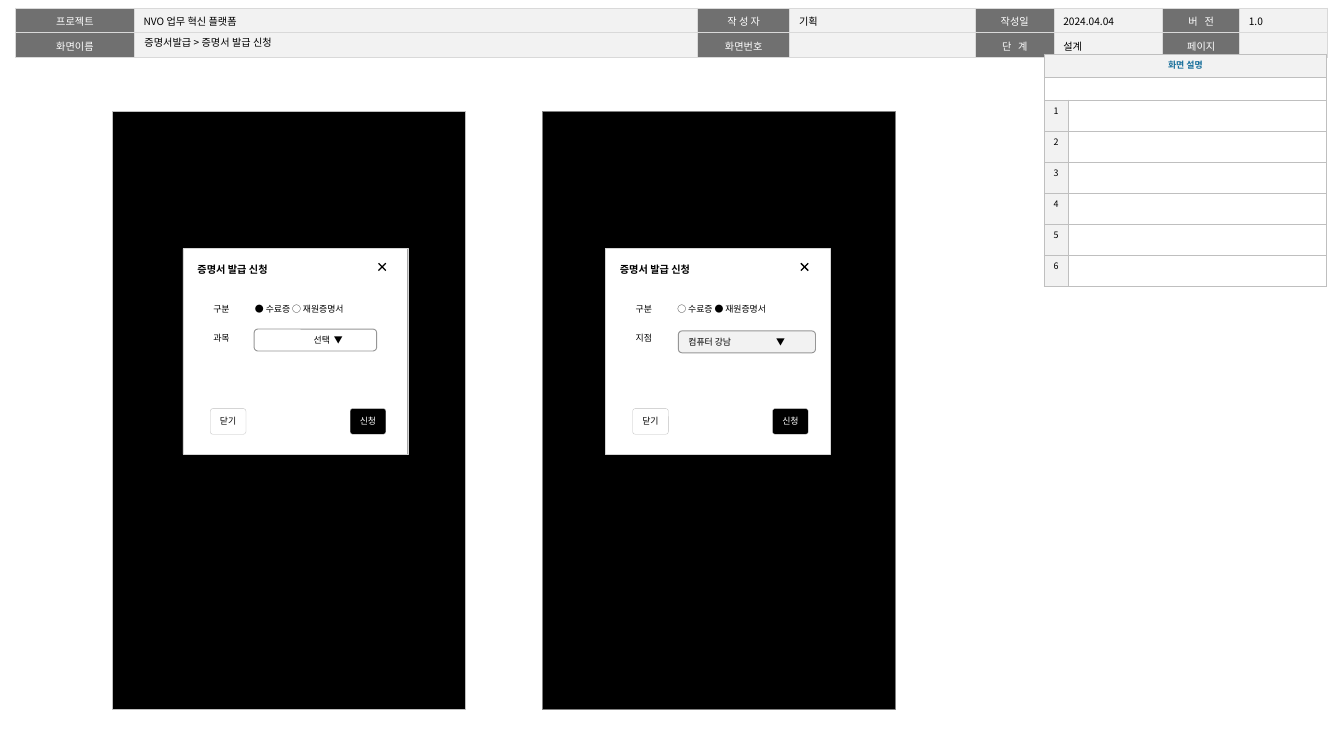
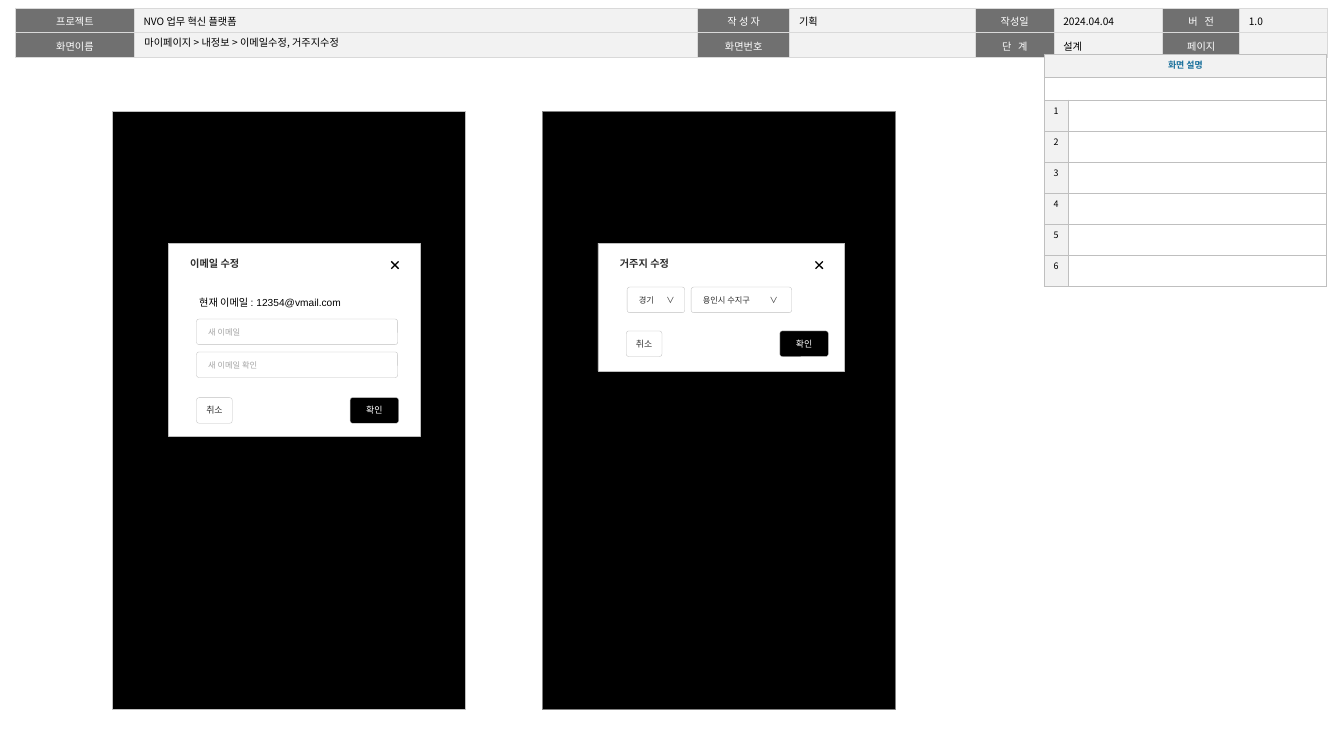
from pptx import Presentation
from pptx.dml.color import RGBColor
from pptx.enum.shapes import MSO_CONNECTOR, MSO_SHAPE
from pptx.enum.text import MSO_ANCHOR, PP_ALIGN
from pptx.oxml.xmlchemy import OxmlElement
from pptx.util import Inches, Pt

BLACK = RGBColor(0x00, 0x00, 0x00)
WHITE = RGBColor(0xFF, 0xFF, 0xFF)
INK = RGBColor(0x2E, 0x2E, 0x2E)
HEADER_GRAY = RGBColor(0x70, 0x70, 0x70)
PANEL_GRAY = RGBColor(0x80, 0x80, 0x80)
FIELD_GRAY = RGBColor(0x96, 0x96, 0x96)
HINT_GRAY = RGBColor(0xA6, 0xA6, 0xA6)
EDGE_GRAY = RGBColor(0xBF, 0xBF, 0xBF)
DIALOG_EDGE = RGBColor(0xD5, 0xD5, 0xD5)
GRID_GRAY = RGBColor(0xD9, 0xD9, 0xD9)
PALE_GRAY = RGBColor(0xF2, 0xF2, 0xF2)
BLUE = RGBColor(0x17, 0x6F, 0x9B)

KOREAN = "Noto Sans CJK KR"
LATIN = "Arial"

HEADER_COLUMNS = [1.3, 6.16, 1.01, 2.03, 0.86, 1.19, 0.84, 0.96]
HEADER_ROWS = [
    ["프로젝트", "NVO 업무 혁신 플랫폼", "작 성 자", "기획", "작성일", "2024.04.04", "버 전", "1.0"],
    ["화면이름", "", "화면번호", "", "단 계", "설계", "페이지", ""],
]
SPREAD_LABELS = ("버 전", "단 계")


def child(parent, tag, **attributes):
    element = OxmlElement(tag)
    for key, value in attributes.items():
        element.set(key, str(value))
    parent.append(element)
    return element


def write(frame, text, size=7, font=KOREAN, color=BLACK, bold=False, align=PP_ALIGN.LEFT,
          anchor=MSO_ANCHOR.TOP, insets=(0.1, 0.05, 0.1, 0.05), wrap=True,
          line_spacing=None, gap=0, tab=None, tracking=0):
    frame.word_wrap = wrap
    frame.vertical_anchor = anchor
    frame.margin_left, frame.margin_top, frame.margin_right, frame.margin_bottom = map(Inches, insets)
    for index, line in enumerate(text.split("\n")):
        para = frame.add_paragraph() if index else frame.paragraphs[0]
        para.alignment = align
        para.line_spacing = line_spacing
        if index:
            para.space_before = Pt(gap)
        if tab:
            stops = child(para._p.get_or_add_pPr(), "a:tabLst")
            child(stops, "a:tab", pos=Inches(tab), algn="l")
        if not line:
            child(para._p, "a:endParaRPr", sz=size * 100)
            continue
        span = para.add_run()
        span.text = line
        span.font.size = Pt(size)
        span.font.bold = bold
        span.font.name = font
        span.font.color.rgb = color
        properties = span._r.get_or_add_rPr()
        child(properties, "a:ea", typeface=KOREAN)
        if tracking:
            properties.set("spc", str(int(tracking * 100)))


def add_box(page, left, top, width, height, fill=WHITE, line=EDGE_GRAY, weight=0.25,
            rounding=None, text="", **style):
    kind = MSO_SHAPE.RECTANGLE if rounding is None else MSO_SHAPE.ROUNDED_RECTANGLE
    box = page.shapes.add_shape(kind, Inches(left), Inches(top), Inches(width), Inches(height))
    if rounding is not None:
        box.adjustments[0] = rounding
    box.shadow.inherit = False
    box.fill.solid()
    box.fill.fore_color.rgb = fill
    box.line.color.rgb = line
    box.line.width = Pt(weight)
    if text:
        write(box.text_frame, text, **style)
    return box


def add_label(page, left, top, width, height, text, **style):
    box = page.shapes.add_textbox(Inches(left), Inches(top), Inches(width), Inches(height))
    write(box.text_frame, text, wrap=False, **style)


def add_button(page, left, top, text, width=0.39, primary=False, color=BLACK):
    add_box(page, left, top, width, 0.28, fill=BLACK if primary else WHITE, rounding=0.1,
            text=text, font=LATIN, color=WHITE if primary else color,
            align=PP_ALIGN.CENTER, anchor=MSO_ANCHOR.MIDDLE, insets=(0.04, 0, 0.04, 0))


def add_input(page, left, top, width, text, color=INK, tab=None):
    add_box(page, left, top, width, 0.28, rounding=0.1, text=text, size=6.5, font=LATIN,
            color=color, anchor=MSO_ANCHOR.MIDDLE, insets=(0.12, 0, 0.08, 0), tab=tab)


def add_select(page, left, top, width, text, fill=WHITE, indent=0.1, tab=None):
    add_box(page, left, top, width, 0.24, fill=fill, line=FIELD_GRAY, weight=0.75, rounding=0.17,
            text=text, anchor=MSO_ANCHOR.MIDDLE, insets=(indent, 0.04, 0.1, 0.04), tab=tab)


def add_close_mark(page, left, top, size=0.08):
    for start, end in ((top, top + size), (top + size, top)):
        stroke = page.shapes.add_connector(MSO_CONNECTOR.STRAIGHT, Inches(left), Inches(start),
                                           Inches(left + size), Inches(end))
        stroke.line.color.rgb = BLACK
        stroke.line.width = Pt(1)
        child(stroke._element.spPr, "a:effectLst")


def add_dialog(page, left, top, width, height, title, mark_drop, **style):
    add_box(page, left, top, width, height, text=title, size=8, bold=True, **style)
    add_close_mark(page, left + width - 0.32, top + mark_drop)


def format_cell(cell, text, fill, border, weight, **style):
    properties = cell._tc.get_or_add_tcPr()
    for side in ("L", "R", "T", "B"):
        edge = child(properties, f"a:ln{side}", w=Pt(weight))
        child(child(edge, "a:solidFill"), "a:srgbClr", val=border)
    cell.fill.solid()
    cell.fill.fore_color.rgb = fill
    write(cell.text_frame, text, **style)


def add_grid(page, left, top, columns, rows):
    frame = page.shapes.add_table(len(rows), len(columns), Inches(left), Inches(top),
                                  Inches(sum(columns)), Inches(sum(rows)))
    table = frame.table
    table.first_row = False
    table.horz_banding = False
    for column, width in zip(table.columns, columns):
        column.width = Inches(width)
    for row, height in zip(table.rows, rows):
        row.height = Inches(height)
    return frame


def add_header(page):
    frame = add_grid(page, 0.17, 0.09, HEADER_COLUMNS, [0.24, 0.24])
    for row, texts in enumerate(HEADER_ROWS):
        for column, text in enumerate(texts):
            heading = column % 2 == 0
            format_cell(frame.table.cell(row, column), text, HEADER_GRAY if heading else PALE_GRAY,
                        GRID_GRAY, 1, size=8, color=WHITE if heading else BLACK,
                        align=PP_ALIGN.CENTER if heading else PP_ALIGN.LEFT,
                        insets=(0.14, 0.05, 0.14, 0.05), line_spacing=1.05,
                        tracking=1.8 if text in SPREAD_LABELS else 0)
    return frame


def share_frame(layout, page):
    for holder in list(layout.placeholders):
        if holder.placeholder_format.idx:
            holder.element.getparent().remove(holder.element)
    shared = [add_header(page)]
    for left, line in ((1.23, EDGE_GRAY), (5.93, PANEL_GRAY)):
        shared.append(add_box(page, left, 1.22, 3.86, 6.54, fill=BLACK, line=line, weight=0.5))
    for shape in shared:
        layout.shapes.element.append(shape.element)


def add_description(page):
    table = add_grid(page, 11.42, 0.59, [0.26, 2.83], [0.25] * 2 + [0.34] * 6).table
    for row in range(8):
        for column in range(2):
            number = str(row - 1) if row > 1 and column == 0 else ""
            shaded = row == 0 or number
            format_cell(table.cell(row, column), "화면 설명" if row == column == 0 else number,
                        PALE_GRAY if shaded else WHITE, EDGE_GRAY, 0.25,
                        color=BLACK if row else BLUE, bold=row == 0, align=PP_ALIGN.CENTER,
                        anchor=MSO_ANCHOR.TOP if row else MSO_ANCHOR.MIDDLE,
                        insets=(0.04, 0.05, 0.04, 0.05))
    for row in range(2):
        table.cell(row, 0).merge(table.cell(row, 1))


def fill_page(page, title):
    holder = page.shapes.title
    holder.left, holder.top, holder.width, holder.height = map(Inches, (1.47, 0.38, 3.85, 0.16))
    write(holder.text_frame, title, size=8, anchor=MSO_ANCHOR.MIDDLE, insets=(0.11, 0.05, 0.11, 0.05))
    add_description(page)


def add_certificate_dialog(page, left, labels, choices):
    add_dialog(page, left, 2.72, 2.46, 2.25, "증명서 발급 신청", 0.16, line=DIALOG_EDGE,
               font=LATIN, insets=(0.16, 0.16, 0.08, 0.08))
    add_button(page, left + 1.83, 4.47, "신청", primary=True)
    add_button(page, left + 0.3, 4.47, "닫기")
    add_label(page, left + 0.21, 3.27, 0.4, 0.57, labels, align=PP_ALIGN.RIGHT, gap=15)
    add_label(page, left + 0.69, 3.27, 1.29, 0.22, choices)


def add_edit_dialog(page, left, width, height, title, button_left, button_top):
    add_dialog(page, left, 2.66, width, height, title, 0.2, weight=0.5, color=INK,
               insets=(0.24, 0.16, 0.16, 0.05))
    add_button(page, button_left, button_top, "취소", color=INK)
    add_button(page, button_left + 1.68, button_top, "확인", width=0.53, primary=True)


def draw_certificates(page):
    fill_page(page, "증명서발급 > 증명서 발급 신청")
    add_certificate_dialog(page, 2, "구분\n과목", "● 수료증 ○ 재원증명서")
    add_select(page, 2.78, 3.6, 1.34, "선택  ▼", indent=0.64)
    add_certificate_dialog(page, 6.62, "구분\n지점", "○ 수료증 ● 재원증명서")
    add_select(page, 7.42, 3.62, 1.5, "컴퓨터 강남\t▼", fill=PALE_GRAY, tab=0.96)


def draw_profile(page):
    fill_page(page, "마이페이지 > 내정보 > 이메일수정, 거주지수정")
    add_edit_dialog(page, 1.84, 2.76, 2.11, "이메일 수정", 2.15, 4.35)
    add_label(page, 2.08, 3.19, 1.85, 0.24, "현재 이메일 : 12354@vmail.com", size=8, font=LATIN)
    for top, hint in ((3.49, "새 이메일"), (3.85, "새 이메일 확인")):
        add_input(page, 2.15, top, 2.2, hint, color=HINT_GRAY)
    add_edit_dialog(page, 6.54, 2.7, 1.4, "거주지 수정", 6.85, 3.62)
    add_input(page, 6.86, 3.14, 0.63, "경기\t∨", tab=0.3)
    add_input(page, 7.56, 3.14, 1.1, "용인시 수지구\t∨", tab=0.73)


def main():
    deck = Presentation()
    deck.slide_width, deck.slide_height = Inches(14.7), Inches(8.27)
    layout = deck.slide_layouts[5]
    certificates, profile = (deck.slides.add_slide(layout) for _ in range(2))
    share_frame(layout, certificates)
    draw_certificates(certificates)
    draw_profile(profile)
    deck.save("out.pptx")


if __name__ == "__main__":
    main()
